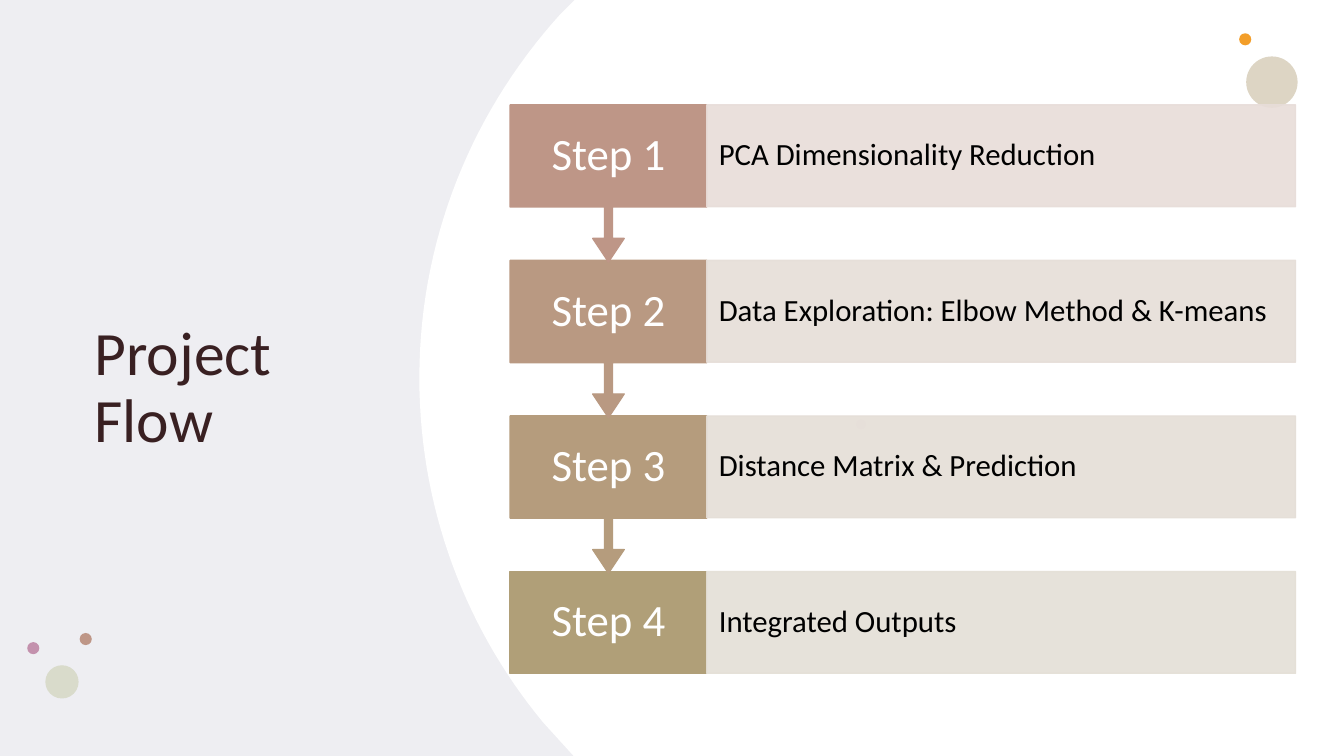
from typing import NamedTuple

import lxml.etree
import pptx
import pptx.dml.color
import pptx.enum.shapes
import pptx.enum.text
import pptx.oxml.ns
import pptx.util
from pptx.util import Inches

SHAPE = pptx.enum.shapes.MSO_SHAPE
ALIGN = pptx.enum.text.PP_ALIGN
FONT = "Calibri"


class Step(NamedTuple):
    label: str
    text: str
    label_fill: str
    bar_fill: str


class Dot(NamedTuple):
    left: float
    top: float
    size: float
    fill: str
    opacity: int = 100


STEPS = [
    Step("Step 1", "PCA Dimensionality Reduction", "BE9687", "E8DDD9"),
    Step("Step 2", "Data Exploration: Elbow Method & K-means", "B99982", "E6DED8"),
    Step("Step 3", "Distance Matrix & Prediction", "B59C7D", "E5DED7"),
    Step("Step 4", "Integrated Outputs", "B09F78", "E4DFD6"),
]
DOTS = [
    Dot(12.36, 0.56, 0.51, "D0C5AE", 72),
    Dot(12.29, 0.33, 0.12, "F39E29"),
    Dot(8.49, 4.16, 0.1, "E3BEBE", 28),
    Dot(0.79, 6.28, 0.12, "BE9687"),
    Dot(0.45, 6.6, 0.33, "D9DBCB"),
    Dot(0.27, 6.37, 0.12, "C391AD"),
]

# Step geometry
TOP, LAST_TOP = 1.04, 5.67
LABEL_LEFT, LABEL_W = 5.06, 1.95
BAR_LEFT, BAR_W = LABEL_LEFT + LABEL_W, 5.84
BOX_H, CALLOUT_H = 1.01, 1.56
PITCH = (LAST_TOP - TOP) / (len(STEPS) - 1)


def rgb(color: str) -> pptx.dml.color.RGBColor:
    return pptx.dml.color.RGBColor.from_string(color)


def paint(sp, color: str, opacity: int = 100, outlined: bool = False) -> None:
    """Fill a shape, with an optional 1 pt outline of the same colour."""
    sp.shadow.inherit = False
    fills = [sp.fill]
    if outlined:
        sp.line.width = pptx.util.Pt(1)
        fills.append(sp.line.fill)
    else:
        sp.line.fill.background()
    for fill in fills:
        fill.solid()
        fill.fore_color.rgb = rgb(color)
    if opacity < 100:
        for clr in sp.element.spPr.findall(".//" + pptx.oxml.ns.qn("a:srgbClr")):
            alpha = lxml.etree.SubElement(clr, pptx.oxml.ns.qn("a:alpha"))
            alpha.set("val", str(opacity * 1000))


def add_box(s, kind, left: float, top: float, width: float, height: float,
            color: str, opacity: int = 100, outlined: bool = False):
    sp = s.shapes.add_shape(kind, Inches(left), Inches(top), Inches(width), Inches(height))
    paint(sp, color, opacity, outlined)
    return sp


def write(sp, text: str, size: int, color: str, align=ALIGN.LEFT,
          inset_x: float = 0.1, inset_y: float = 0.05) -> None:
    tf = sp.text_frame
    tf.word_wrap = True
    tf.vertical_anchor = pptx.enum.text.MSO_ANCHOR.MIDDLE
    tf.margin_left = tf.margin_right = Inches(inset_x)
    tf.margin_top = tf.margin_bottom = Inches(inset_y)
    p = tf.paragraphs[0]
    p.alignment = align
    p.line_spacing = 0.9
    r = p.add_run()
    r.text = text
    r.font.name = FONT
    r.font.size = pptx.util.Pt(size)
    r.font.color.rgb = rgb(color)


def curve(a, b, c, d, n: int = 30) -> list[tuple[float, float]]:
    """Points along a cubic curve from a to d, without a itself."""
    points = []
    for i in range(1, n + 1):
        t = i / n
        weights = ((1 - t) ** 3, 3 * t * (1 - t) ** 2, 3 * t * t * (1 - t), t ** 3)
        x, y = (sum(w * v for w, v in zip(weights, axis)) for axis in zip(a, b, c, d))
        points.append((x, y))
    return points


def add_panel(s) -> None:
    """White panel whose left edge bulges outward."""
    low, middle, high = (5.39, 7.17), (4.16, 3.75), (5.56, 0.14)
    outline = [(13.33, 0), (13.33, 7.5), (5.69, 7.5), low]
    outline += curve(low, (4.62, 6.24), (4.16, 5.05), middle)
    outline += curve(middle, (4.16, 2.36), (4.69, 1.1), high)
    fb = s.shapes.build_freeform(Inches(5.7), 0)
    fb.add_line_segments([(Inches(x), Inches(y)) for x, y in outline], close=True)
    paint(fb.convert_to_shape(), "FFFFFF")


def add_step(s, step: Step, top: float, is_last: bool) -> None:
    kind, height = (SHAPE.RECTANGLE, BOX_H) if is_last else (SHAPE.DOWN_ARROW_CALLOUT, CALLOUT_H)
    sp = add_box(s, kind, LABEL_LEFT, top, LABEL_W, height, step.label_fill, outlined=True)
    if not is_last:
        for i, value in enumerate((0.05, 0.1, 0.15, 0.65)):
            sp.adjustments[i] = value
    write(sp, step.label, 32, "FFFFFF", ALIGN.CENTER, 0.14, 0.25)
    bar = add_box(s, SHAPE.RECTANGLE, BAR_LEFT, top, BAR_W, BOX_H, step.bar_fill, 90, True)
    write(bar, step.text, 22, "000000", inset_x=0.12, inset_y=0.31)


def main() -> None:
    prs = pptx.Presentation()
    prs.slide_width, prs.slide_height = Inches(13.33), Inches(7.5)
    s = prs.slides.add_slide(prs.slide_layouts[6])

    # Backdrop
    add_box(s, SHAPE.RECTANGLE, 0, 0, 13.33, 7.5, "CAC8D4", 30)
    add_panel(s)
    for dot in DOTS:
        add_box(s, SHAPE.OVAL, dot.left, dot.top, dot.size, dot.size, dot.fill, dot.opacity)

    # Title
    title = s.shapes.add_textbox(Inches(0.84), Inches(1.04), Inches(3.13), Inches(5.64))
    write(title, "Project Flow", 44, "392022")

    # Steps, last one first so each arrow tip lies over the next box
    for i, step in reversed(list(enumerate(STEPS))):
        add_step(s, step, TOP + i * PITCH, i == len(STEPS) - 1)

    prs.save("out.pptx")


if __name__ == "__main__":
    main()
